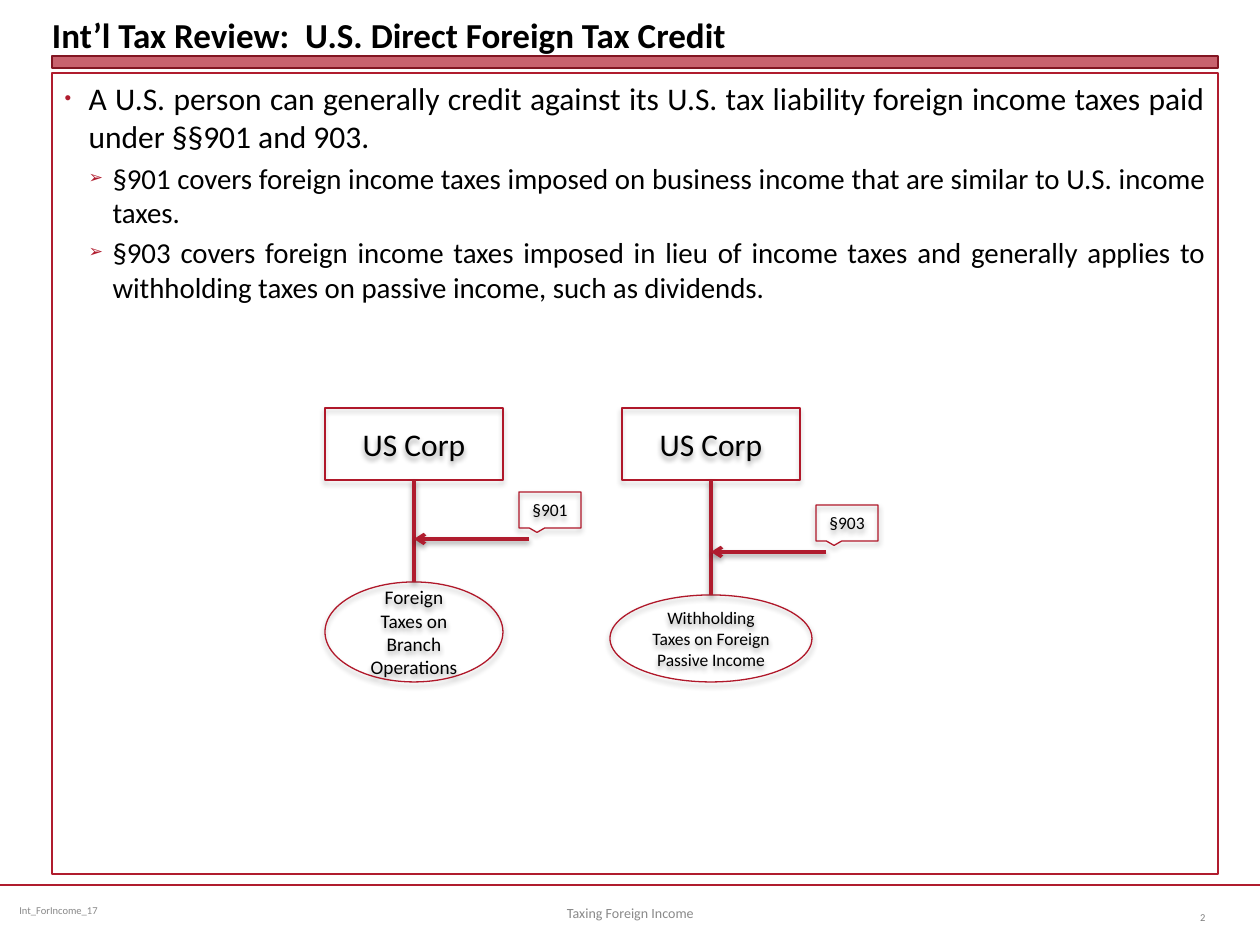
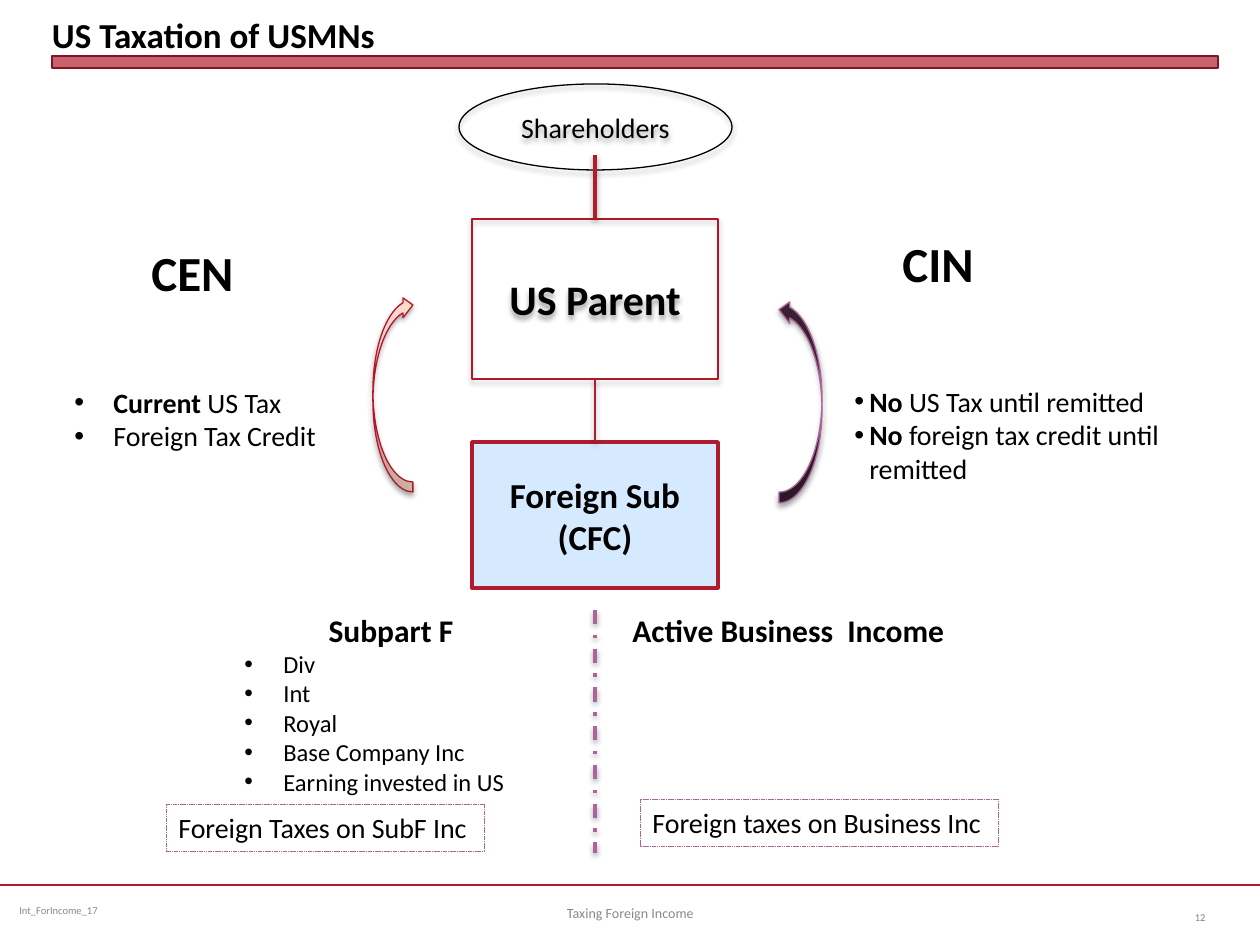
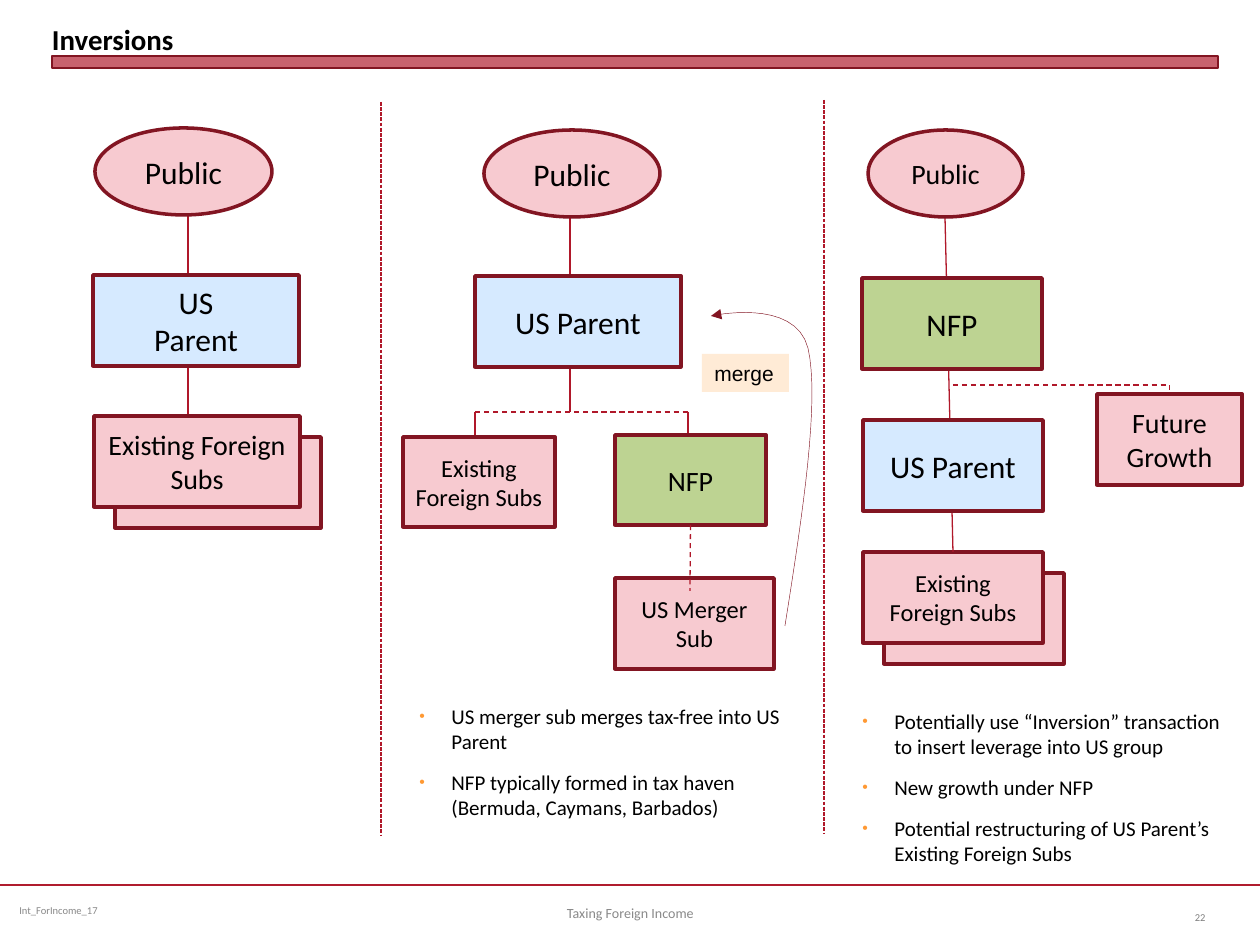
from collections import namedtuple

from lxml.etree import SubElement
from pptx import Presentation
from pptx.dml.color import RGBColor
from pptx.enum.dml import MSO_LINE as DASH
from pptx.enum.shapes import MSO_CONNECTOR as LINK, MSO_SHAPE as SHAPE
from pptx.enum.text import MSO_ANCHOR as ANCHOR, MSO_AUTO_SIZE as FIT, PP_ALIGN as ALIGN
from pptx.oxml.ns import qn
from pptx.util import Emu, Pt

SCALE = 914400 / 126
BLACK = RGBColor(0x00, 0x00, 0x00)
CRIMSON = RGBColor(0xB0, 0x1C, 0x2E)
RED = RGBColor(0xB0, 0x18, 0x2A)
MAROON = RGBColor(0x82, 0x15, 0x22)
PINK = RGBColor(0xF7, 0xCA, 0xD0)
PEACH = RGBColor(0xFF, 0xDF, 0xC8)
CREAM = RGBColor(0xFF, 0xEB, 0xD6)
SKY = RGBColor(0xD6, 0xEA, 0xFF)
GREEN = RGBColor(0xBD, 0xD3, 0x92)
MAUVE = RGBColor(0xAB, 0x66, 0x99)
PLUM = RGBColor(0x38, 0x1F, 0x31)
ORANGE = RGBColor(0xFF, 0x99, 0x33)
GRAY = RGBColor(0x89, 0x89, 0x89)
PAGE_GRAY = RGBColor(0x80, 0x80, 0x80)

Bullet = namedtuple("Bullet", "char left hang color percent", defaults=(None, 100))
MAIN_POINT = Bullet("•", 24, 24, CRIMSON, 60)
SUB_POINT = Bullet("➢", 48, 24, CRIMSON, 60)
NOTE_POINT = Bullet("•", 38, 32, ORANGE, 75)


def px(length):
    """Turn a length in px into EMU."""
    return Emu(round(length * SCALE))


def within(box, left, top, width, height):
    """Return a box given relative to the corner of another box."""
    return box[0] + left, box[1] + top, width, height


def mark(paragraph, bullet):
    """Give a paragraph its hanging indent and bullet."""
    props = paragraph._p.get_or_add_pPr()
    props.set("marL", str(px(bullet.left)))
    props.set("indent", str(-px(bullet.hang)))
    if bullet.color is not None:
        SubElement(SubElement(props, qn("a:buClr")), qn("a:srgbClr")).set("val", str(bullet.color))
    SubElement(props, qn("a:buSzPct")).set("val", str(bullet.percent * 1000))
    SubElement(props, qn("a:buFont")).set("typeface", "Arial")
    SubElement(props, qn("a:buChar")).set("char", bullet.char)


def write(frame, *texts, size, bold=False, color=BLACK, font="Calibri", align=ALIGN.LEFT,
          anchor=ANCHOR.TOP, wrap=True, bullet=None, level=0, before=0, after=0):
    """Add paragraphs to a frame; a pair of strings is a bold lead and its plain rest."""
    frame.word_wrap = wrap
    frame.auto_size = FIT.NONE
    frame.vertical_anchor = anchor
    for text in texts:
        first = not frame.paragraphs[0].runs
        paragraph = frame.paragraphs[0] if first else frame.add_paragraph()
        paragraph.level = level
        if bullet:
            mark(paragraph, bullet)
        paragraph.alignment = align
        paragraph.space_before = Pt(0 if first else before)
        paragraph.space_after = Pt(after)
        parts = [(text, bold)] if isinstance(text, str) else zip(text, (True, False))
        for words, heavy in parts:
            run = paragraph.add_run()
            run.text = words
            run.font.size, run.font.bold, run.font.name = Pt(size), heavy, font
            run.font.color.rgb = color


def set_effects(part, shadow=False, alpha=35, distance=1.8):
    """Clear the inherited shadow and add a soft one below if wanted."""
    props = part._element.spPr
    effects = props.find(qn("a:effectLst"))
    if effects is None:
        effects = SubElement(props, qn("a:effectLst"))
    if shadow:
        outer = SubElement(effects, qn("a:outerShdw"), blurRad=str(Pt(3.1)),
                           dist=str(Pt(distance)), dir="5400000", rotWithShape="0")
        tint = SubElement(outer, qn("a:srgbClr"), val=str(BLACK))
        SubElement(tint, qn("a:alpha"), val=str(alpha * 1000))


def stroke(line, color, weight, dash=None):
    """Format an outline or a connector line."""
    line.color.rgb = color
    line.width = Pt(weight)
    if dash:
        line.dash_style = dash


def add_arrowhead(part, kind):
    """Put an arrowhead at the end of a line."""
    SubElement(part._element.spPr.find(qn("a:ln")), qn("a:tailEnd"), type=kind)


def add_block(slide, kind, box, *texts, fill=None, line=RED, weight=0.75, dash=None,
              shadow=False, align=ALIGN.CENTER, anchor=ANCHOR.MIDDLE, **style):
    """Draw a preset shape with optional text."""
    block = slide.shapes.add_shape(kind, *map(px, box))
    if fill is None:
        block.fill.background()
    else:
        block.fill.solid()
        block.fill.fore_color.rgb = fill
    if line is None:
        block.line.fill.background()
    else:
        stroke(block.line, line, weight, dash)
    block.shadow.inherit = False
    set_effects(block, shadow)
    if texts:
        write(block.text_frame, *texts, align=align, anchor=anchor, **style)
    return block


def add_label(slide, box, *texts, **style):
    """Add a plain text box."""
    label = slide.shapes.add_textbox(*map(px, box))
    write(label.text_frame, *texts, **style)
    return label


def add_link(slide, origin, start, end, color=RED, weight=0.75, dash=None, shadow=False,
             kind=LINK.STRAIGHT, begin=None, finish=None):
    """Draw a connector between two points relative to an origin, joined where given."""
    points = [px(origin[axis] + point[axis]) for point in (start, end) for axis in (0, 1)]
    link = slide.shapes.add_connector(kind, *points)
    if begin:
        link.begin_connect(*begin)
    if finish:
        link.end_connect(*finish)
    stroke(link.line, color, weight, dash)
    set_effects(link, shadow, 38, 1.6)
    return link


def start_slide(deck, layout, title, page, size=20):
    """Add a slide with the shared title, band, rule and footers."""
    slide = deck.slides.add_slide(deck.slide_layouts[layout])
    add_link(slide, (0, 885), (0, 0), (1260, 0), CRIMSON, 1.25)
    footer = dict(anchor=ANCHOR.MIDDLE)
    add_label(slide, (7, 885, 325, 50), "Int_ForIncome_17", size=6, color=GRAY, **footer)
    add_label(slide, (431, 888, 399, 50), "Taxing Foreign Income", size=8, color=GRAY,
              align=ALIGN.CENTER, **footer)
    add_label(slide, (1155, 892, 63, 50), page, size=6, color=PAGE_GRAY,
              align=ALIGN.RIGHT, **footer)
    band = add_block(slide, SHAPE.RECTANGLE, (52, 56, 1166, 12), fill=CRIMSON,
                     line=MAROON, weight=0)
    tint = band._element.spPr.find(qn("a:solidFill"))[0]
    SubElement(tint, qn("a:alpha"), val="69000")
    heading = slide.shapes.title
    place(heading, (52, 6, 1166, 50))
    frame = heading.text_frame
    frame.margin_left = frame.margin_right = frame.margin_top = frame.margin_bottom = 0
    write(frame, title, size=size, bold=True, anchor=ANCHOR.BOTTOM)
    return slide


def place(part, box):
    """Move a placeholder to a box."""
    part.left, part.top, part.width, part.height = map(px, box)


def credit_chain(slide, box, section, taxes, size, drop=0, spread=0):
    """Draw a corporation, the foreign taxes below it and the section that credits them."""
    width, height = box[2:]
    middle, tax_top = width // 2, 174 + drop
    corp = add_block(slide, SHAPE.RECTANGLE, within(box, 0, 0, width, 72), "US Corp",
                     size=18, shadow=True)
    tax = add_block(slide, SHAPE.OVAL,
                    within(box, -spread, tax_top, width + 2 * spread, height - tax_top),
                    taxes, size=size, shadow=True)
    heavy = dict(color=CRIMSON, weight=2, shadow=True)
    add_link(slide, box, (middle, 72), (middle, tax_top), begin=(corp, 2), finish=(tax, 0), **heavy)
    pointer = add_link(slide, box, (204, 131 + drop), (middle, 131 + drop), **heavy)
    add_arrowhead(pointer, "arrow")
    add_block(slide, SHAPE.RECTANGULAR_CALLOUT, within(box, 194, 84 + drop, 62, 36),
              section, size=10, shadow=True)


def credit_slide(deck):
    """Build the slide on the direct foreign tax credit."""
    slide = start_slide(deck, 1, "Int’l Tax Review:  U.S. Direct Foreign Tax Credit", "2")
    body = slide.placeholders[1]
    place(body, (52, 73, 1166, 801))
    stroke(body.line, CRIMSON, 0.75)
    write(body.text_frame,
          "A U.S. person can generally credit against its U.S. tax liability foreign income "
          "taxes paid under §§901 and 903.",
          size=18, align=ALIGN.JUSTIFY, bullet=MAIN_POINT)
    write(body.text_frame,
          "§901 covers foreign income taxes imposed on business income that are similar to "
          "U.S. income taxes.",
          "§903 covers foreign income taxes imposed in lieu of income taxes and generally "
          "applies to withholding taxes on passive income, such as dividends.",
          size=16.5, align=ALIGN.JUSTIFY, bullet=SUB_POINT, level=1, before=3)
    credit_chain(slide, (325, 408, 178, 274), "§901", "Foreign Taxes on Branch Operations", 11)
    credit_chain(slide, (622, 408, 178, 274), "§903",
                 "Withholding Taxes on Foreign Passive Income", 10, drop=13, spread=12)


def ownership_chain(slide, box):
    """Draw shareholders, parent and subsidiary, and the divider below them."""
    width = box[2]
    middle = width // 2
    parent = add_block(slide, SHAPE.RECTANGLE, within(box, 0, 135, width, 160), "US Parent",
                       size=24, bold=True, shadow=True)
    subsidiary = add_block(slide, SHAPE.RECTANGLE, within(box, 0, 358, width, 146),
                           "Foreign Sub", "(CFC)", size=20, bold=True, fill=SKY,
                           line=CRIMSON, weight=2)
    add_link(slide, box, (middle, 295), (middle, 358), CRIMSON, 1, shadow=True,
             begin=(parent, 2), finish=(subsidiary, 0))
    add_block(slide, SHAPE.OVAL, within(box, -13, 0, width + 27, 86), "Shareholders",
              size=16, line=BLACK, shadow=True)
    add_link(slide, box, (middle, 71), (middle, 135), CRIMSON, 2, shadow=True,
             finish=(parent, 0))
    add_link(slide, box, (middle, 526), (middle, 769), MAUVE, 2, DASH.DASH_DOT, shadow=True)


def tax_regime(slide, box, name, name_left, points, points_top, hang):
    """Write the name of a regime and its points below."""
    add_label(slide, within(box, name_left, 0, 108, 72), name, size=28, bold=True, wrap=False)
    add_label(slide, within(box, 0, points_top, box[2], box[3] - points_top), *points,
              size=16, bullet=Bullet("•", hang, hang))


def income_side(slide, box, heading, align, items, tax, tax_box):
    """Write a type of income, its items and the foreign taxes on it."""
    label = add_label(slide, box, heading, size=18, bold=True, align=align)
    write(label.text_frame, *items, size=14, bullet=Bullet("•", 40, 39))
    add_block(slide, SHAPE.RECTANGLE, within(box, *tax_box), tax, size=16, line=MAUVE,
              weight=0.25, dash=DASH.SQUARE_DOT, align=ALIGN.LEFT, anchor=ANCHOR.TOP, wrap=False)


def curved_arrow(slide, box, fill, line, mirrored):
    """Draw an upward curved arrow, mirrored to the left side if wanted."""
    arrow = add_block(slide, SHAPE.CURVED_LEFT_ARROW, box, fill=fill, line=line, shadow=True)
    frame = arrow._element.spPr.find(qn("a:xfrm"))
    frame.set("flipV", "1")
    if mirrored:
        frame.set("flipH", "1")
    return arrow


def taxation_slide(deck):
    """Build the slide on the taxation of multinationals."""
    slide = start_slide(deck, 5, "US Taxation of USMNs", "12")
    ownership_chain(slide, (472, 84, 246, 504))
    income_side(slide, (231, 605, 320, 229), "Subpart F", ALIGN.CENTER,
                ["Div", "Int", "Royal", "Base Company Inc", "Earning invested in US"],
                "Foreign Taxes on SubF Inc", (-65, 199, 318, 47))
    income_side(slide, (620, 605, 441, 50), "Active Business  Income", ALIGN.LEFT, [],
                "Foreign taxes on Business Inc", (20, 194, 358, 47))
    tax_regime(slide, (62, 236, 310, 224), "CEN", 77,
               [("Current", " US Tax"), ("", "Foreign Tax Credit")], 143, 39)
    tax_regime(slide, (842, 227, 355, 266), "CIN", 48,
               [("No", " US Tax until remitted"),
                ("No", " foreign tax credit until remitted")], 151, 15)
    current = curved_arrow(slide, (373, 295, 40, 197), PEACH, RED, True)
    current.fill.gradient()
    current.fill.gradient_angle = 0
    for stop, color in zip(current.fill.gradient_stops, (PEACH, PINK)):
        stop.color.rgb = color
    curved_arrow(slide, (779, 299, 43, 204), PLUM, MAUVE, False)


def add_entity(slide, box, *names, fill=PINK, size=18, kind=SHAPE.RECTANGLE):
    """Draw one entity of the inversion charts."""
    return add_block(slide, kind, box, *names, fill=fill, line=MAROON, weight=2, size=size)


def foreign_subs(slide, box, size):
    """Draw the stacked cards of the existing foreign subsidiaries."""
    add_entity(slide, within(box, 21, 21, *box[2:]))
    return add_entity(slide, box, "Existing Foreign Subs", size=size)


def add_notes(slide, box, *notes):
    """Write the remarks below a panel."""
    add_label(slide, box, *notes, size=12, bullet=NOTE_POINT, level=1, before=3, after=6)


def bezier(start, first, second, end, steps=16):
    """Return points along a cubic curve, without its start."""
    points = []
    for step in range(1, steps + 1):
        t = step / steps
        weights = (1 - t) ** 3, 3 * t * (1 - t) ** 2, 3 * t * t * (1 - t), t ** 3
        points.append(tuple(sum(w * p[axis] for w, p in zip(weights, (start, first, second, end)))
                            for axis in (0, 1)))
    return points


def merge_arrow(slide, box):
    """Draw the curved arrow from the merger subsidiary up to the parent."""
    start, bend, tip = (382, 496), (405, 218), (308, 186)
    curve = bezier(start, (400, 383), (417, 269), bend) + bezier(bend, (392, 167), tip, tip)
    points = [(px(box[0] + x), px(box[1] + y)) for x, y in [start] + curve]
    builder = slide.shapes.build_freeform(*points[0])
    builder.add_line_segments(points[1:], close=False)
    arrow = builder.convert_to_shape()
    arrow.fill.background()
    stroke(arrow.line, MAROON, 0.25)
    arrow.shadow.inherit = False
    add_arrowhead(arrow, "triangle")


def before_panel(slide, box):
    """Draw the structure before the inversion."""
    add_link(slide, box, (95, 85), (95, 288))
    add_entity(slide, within(box, 2, 0, 177, 87), "Public", kind=SHAPE.OVAL)
    add_entity(slide, within(box, 0, 147, 206, 91), "US", "Parent", fill=SKY)
    foreign_subs(slide, within(box, 1, 288, 206, 91), 16)


def merger_panel(slide, box):
    """Draw the merger step of the inversion."""
    trunk, fork = 167, 282
    arms = 72, 285
    for arm in arms:
        add_link(slide, box, (arm, fork), (arm, 331))
    add_link(slide, box, (trunk, 84), (trunk, fork))
    add_entity(slide, within(box, 81, 0, 176, 87), "Public", kind=SHAPE.OVAL)
    add_entity(slide, within(box, 72, 146, 206, 91), "US Parent", fill=SKY)
    add_entity(slide, within(box, 0, 307, 152, 90), "Existing Foreign Subs", size=14)
    add_entity(slide, within(box, 212, 448, 159, 91), "US Merger Sub", size=14)
    nfp = add_entity(slide, within(box, 212, 305, 151, 90), "NFP", fill=GREEN, size=16)
    add_link(slide, box, (arms[0], fork), (arms[1], fork), dash=DASH.DASH)
    add_link(slide, box, (287, 395), (287, 461), dash=DASH.DASH, begin=(nfp, 2))
    add_block(slide, SHAPE.RECTANGLE, within(box, 299, 224, 87, 38), "merge", size=12,
              font="Arial", fill=CREAM, line=None, align=ALIGN.LEFT, anchor=ANCHOR.TOP)
    merge_arrow(slide, box)
    add_notes(slide, within(box, -2, 567, 399, 160),
              "US merger sub merges tax-free into US Parent",
              "NFP typically formed in tax haven (Bermuda, Caymans, Barbados)")


def after_panel(slide, box):
    """Draw the structure after the inversion."""
    subs = foreign_subs(slide, within(box, 1, 422, 180, 91), 14)
    add_link(slide, box, (83, 87), (91, 422), finish=(subs, 0))
    add_entity(slide, within(box, 6, 0, 155, 87), "Public", size=16, kind=SHAPE.OVAL)
    add_entity(slide, within(box, 0, 148, 180, 91), "NFP", fill=GREEN)
    add_entity(slide, within(box, 1, 290, 180, 91), "US Parent", fill=SKY)
    growth = add_entity(slide, within(box, 235, 264, 145, 91), "Future Growth", size=16)
    branch = add_link(slide, box, (91, 255), (307, 264), dash=DASH.DASH, kind=LINK.ELBOW,
                      finish=(growth, 0))
    branch._element.spPr.find(qn("a:prstGeom")).set("prst", "bentConnector2")
    add_notes(slide, within(box, -18, 572, 398, 160),
              "Potentially use “Inversion” transaction to insert leverage into US group",
              "New growth under NFP",
              "Potential restructuring of US Parent’s Existing Foreign Subs")


def inversions_slide(deck):
    """Build the slide on inversions with its three panels."""
    slide = start_slide(deck, 5, "Inversions", "22", size=16.5)
    for divider in ((381, 102), (824, 100)):
        add_link(slide, divider, (0, 0), (0, 733), dash=DASH.SQUARE_DOT)
    before_panel(slide, (93, 128, 228, 400))
    merger_panel(slide, (403, 130, 397, 727))
    after_panel(slide, (862, 130, 380, 732))


def main():
    """Build the deck and save it."""
    deck = Presentation()
    deck.slide_width, deck.slide_height = px(1260), px(945)
    credit_slide(deck)
    taxation_slide(deck)
    inversions_slide(deck)
    deck.save("out.pptx")


if __name__ == "__main__":
    main()
